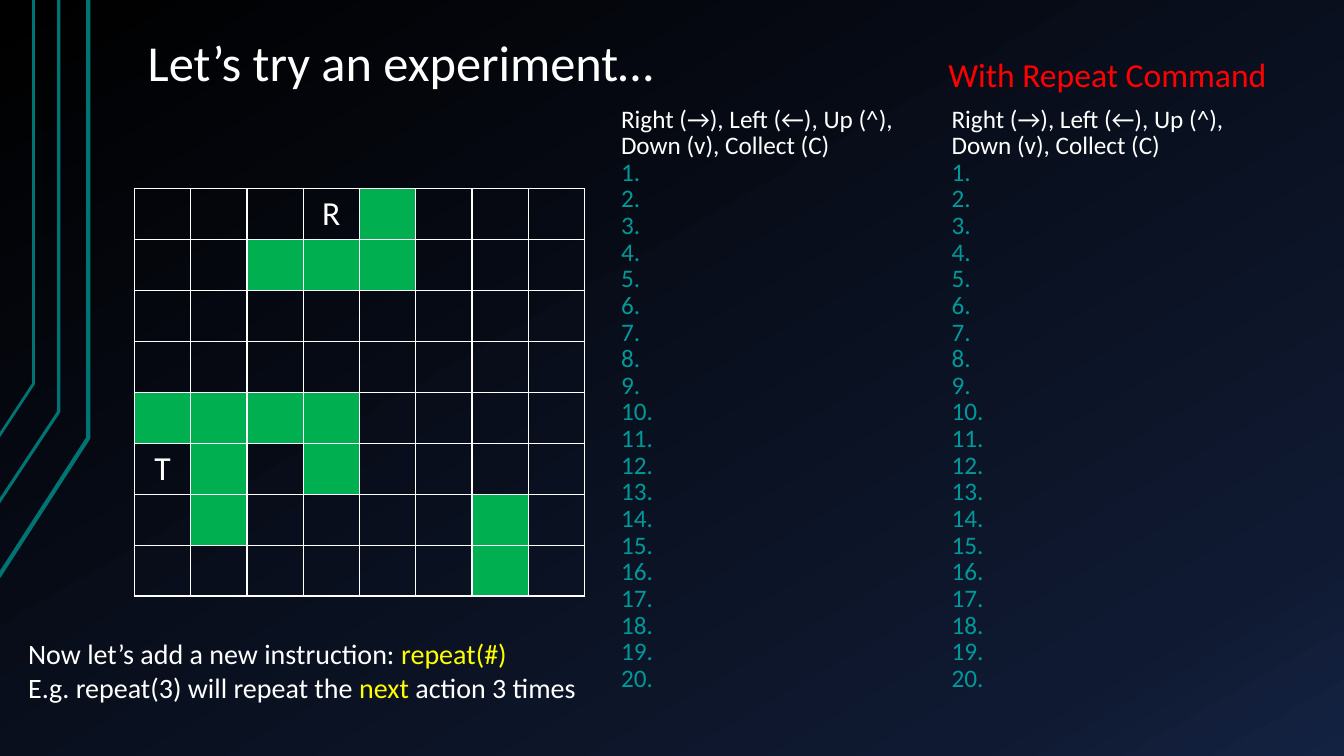
import copy

import lxml.etree
import pptx
import pptx.dml.color
import pptx.enum.text
import pptx.oxml.ns
import pptx.util

Pt = pptx.util.Pt
qn = pptx.oxml.ns.qn
ANCHOR = pptx.enum.text.MSO_ANCHOR

WHITE, YELLOW, RED = "FFFFFF", "FFFF00", "FF0000"
GREEN, TEAL, DARK_TEAL = "00B050", "009999", "007373"
COMMANDS = "Right (→), Left (←), Up (^), \vDown (v), Collect (C)"
STEP_COUNT = 20
# "#" is a filled square, a letter is a label, "." is empty
MAZE = [
    "...R#...",
    "..###...",
    "........",
    "........",
    "####....",
    "T#.#....",
    ".#....#.",
    "......#.",
]


def color(hex_text):
    return pptx.dml.color.RGBColor.from_string(hex_text)


def add_element(parent, tag, **attributes):
    return lxml.etree.SubElement(parent, qn(tag), attributes)


class Slide:
    font_name = "Calibri"

    def __init__(self, deck):
        self.page = deck.slides.add_slide(deck.slide_layouts[6])

    def style(self, font, size, hex_text):
        font.name = self.font_name
        font.size = Pt(size)
        font.color.rgb = color(hex_text)

    def background(self, stops, angle):
        fill = self.page.background.fill
        fill.gradient()
        fill.gradient_angle = angle
        stop_list = next(self.page.element.iter(qn("a:gsLst")))
        while len(stop_list) < len(stops):
            stop_list.append(copy.deepcopy(stop_list[-1]))
        for stop, (position, hex_text) in zip(fill.gradient_stops, stops):
            stop.position = position
            stop.color.rgb = color(hex_text)

    def polyline(self, points, width):
        builder = self.page.shapes.build_freeform(*points[0], scale=Pt(1))
        builder.add_line_segments(points[1:], close=False)
        shape = builder.convert_to_shape()
        shape.shadow.inherit = False
        shape.fill.background()
        shape.line.color.rgb = color(DARK_TEAL)
        shape.line.width = Pt(width)

    def text_box(self, left, top, width, height, wrap=True, anchor=ANCHOR.TOP, margins=(7.2, 3.6)):
        box = self.page.shapes.add_textbox(Pt(left), Pt(top), Pt(width), Pt(height))
        frame = box.text_frame
        frame.word_wrap = wrap
        if not wrap:
            frame.auto_size = pptx.enum.text.MSO_AUTO_SIZE.SHAPE_TO_FIT_TEXT
        frame.vertical_anchor = anchor
        frame.margin_left = frame.margin_right = Pt(margins[0])
        frame.margin_top = frame.margin_bottom = Pt(margins[1])
        return frame

    def add_lines(self, frame, lines, size):
        """Fill a frame with lines, each a list of (text, colour) spans."""
        for index, spans in enumerate(lines):
            para = frame.add_paragraph() if index else frame.paragraphs[0]
            for text, hex_text in spans:
                span = para.add_run()
                span.text = text
                self.style(span.font, size, hex_text)

    def step_list(self, left, top):
        frame = self.text_box(left, top, 221, 442, margins=(9.4, 5))
        frame.text = "\n".join([COMMANDS] + [" "] * STEP_COUNT)
        for index, para in enumerate(frame.paragraphs):
            para.line_spacing = 0.88
            if index:
                self.number(para)
            for span in para.runs:
                self.style(span.font, 18, WHITE)

    def number(self, para):
        """Give a paragraph a coloured automatic number."""
        properties = para._p.get_or_add_pPr()
        properties.set("marL", str(Pt(27)))
        properties.set("indent", str(-Pt(27)))
        bullet_color = add_element(properties, "a:buClr")
        add_element(bullet_color, "a:srgbClr", val=TEAL)
        add_element(properties, "a:buFont", typeface=self.font_name)
        add_element(properties, "a:buAutoNum", type="arabicPeriod")

    def maze(self, left, top, column_width, row_height):
        row_count, column_count = len(MAZE), len(MAZE[0])
        frame = self.page.shapes.add_table(
            row_count, column_count, Pt(left), Pt(top),
            Pt(column_width * column_count), Pt(row_height * row_count))
        table = frame.table
        table.first_row = table.horz_banding = False
        for column in table.columns:
            column.width = Pt(column_width)
        for row, marks in zip(table.rows, MAZE):
            row.height = Pt(row_height)
            for cell, mark in zip(row.cells, marks):
                self.square(cell, mark)

    def square(self, cell, mark):
        cell.margin_top = cell.margin_bottom = 0
        cell.vertical_anchor = ANCHOR.MIDDLE
        if mark == "#":
            cell.fill.solid()
            cell.fill.fore_color.rgb = color(GREEN)
        else:
            cell.fill.background()
        if mark.isalpha():
            cell.text_frame.text = mark
            para = cell.text_frame.paragraphs[0]
            para.alignment = pptx.enum.text.PP_ALIGN.CENTER
            self.style(para.runs[0].font, 24, WHITE)
        properties = cell._tc.get_or_add_tcPr()
        for index, side in enumerate(("a:lnL", "a:lnR", "a:lnT", "a:lnB")):
            border = lxml.etree.Element(qn(side), w=str(Pt(1)))
            add_element(add_element(border, "a:solidFill"), "a:srgbClr", val=WHITE)
            properties.insert(index, border)


def main():
    deck = pptx.Presentation()
    deck.slide_width, deck.slide_height = Pt(960), Pt(540)
    slide = Slide(deck)
    slide.background([(0, "000000"), (0.85, "0F1931"), (1, "142242")], 300)

    slide.polyline([(-0.7, 412), (63.4, 313), (63.4, 0)], 3)
    slide.polyline([(-1.4, 359), (41.8, 294), (41.8, 0)], 2.25)
    slide.polyline([(-0.7, 312.5), (24.5, 274.3), (24.5, 0)], 2)

    title = slide.text_box(96, 21.6, 816, 49.7, anchor=ANCHOR.BOTTOM, margins=(9.4, 5))
    slide.add_lines(title, [[("Let’s try an experiment…", WHITE)]], 36)
    title.paragraphs[0].line_spacing = 0.9

    slide.maze(96, 134.6, 40.2, 36.4)
    for left in (434.2, 670.3):
        slide.step_list(left, 71.3)

    heading = slide.text_box(670.3, 35.3, 244, 36, wrap=False)
    slide.add_lines(heading, [[("With Repeat Command", RED)]], 24)

    instruction = slide.text_box(13, 451.4, 414, 55.4, wrap=False)
    slide.add_lines(instruction, [
        [("Now let’s add a new instruction: ", WHITE), ("repeat(#)", YELLOW)],
        [("E.g. repeat(3) will repeat the ", WHITE), ("next", YELLOW), (" action 3 times", WHITE)],
    ], 20)

    deck.save("out.pptx")


if __name__ == "__main__":
    main()
